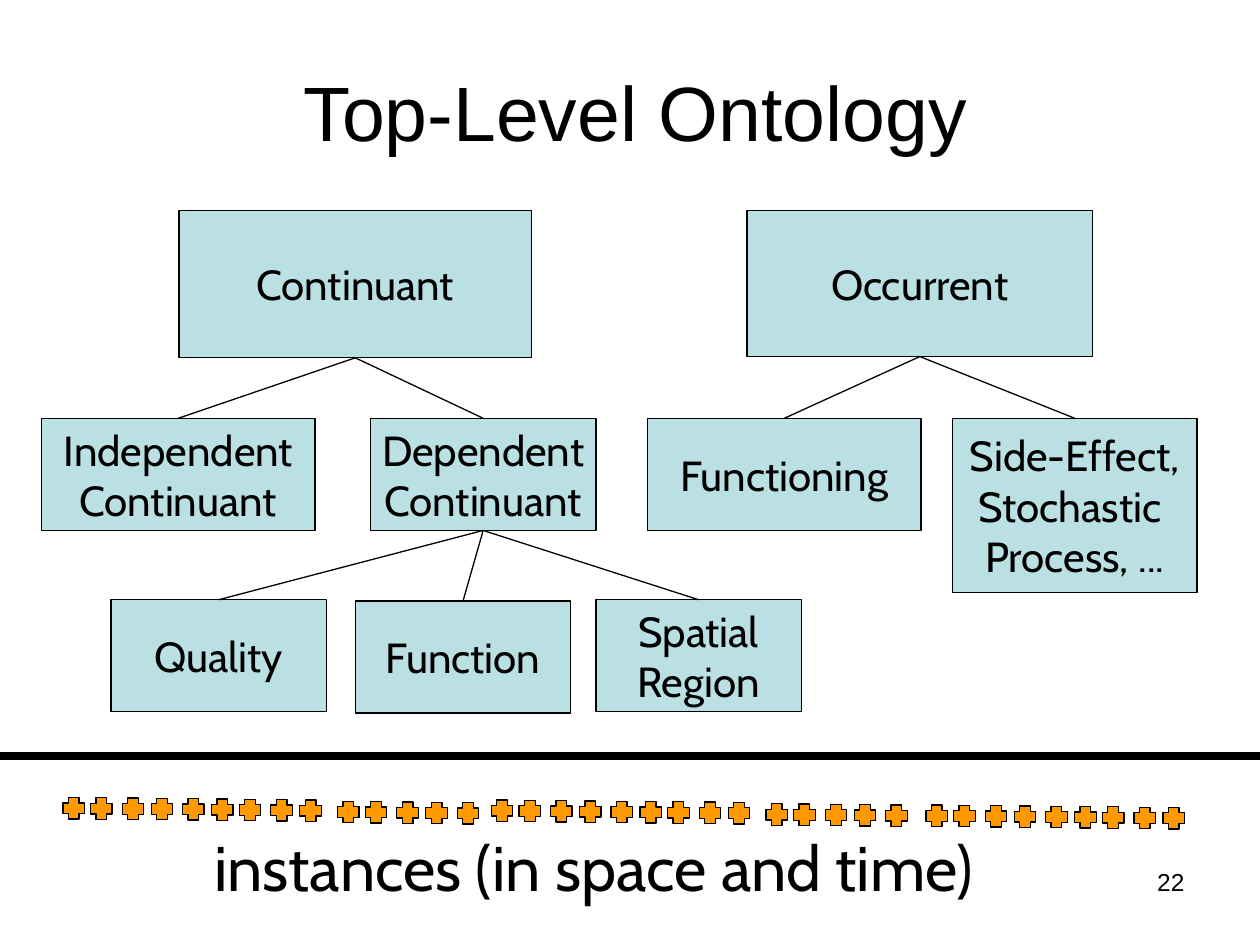
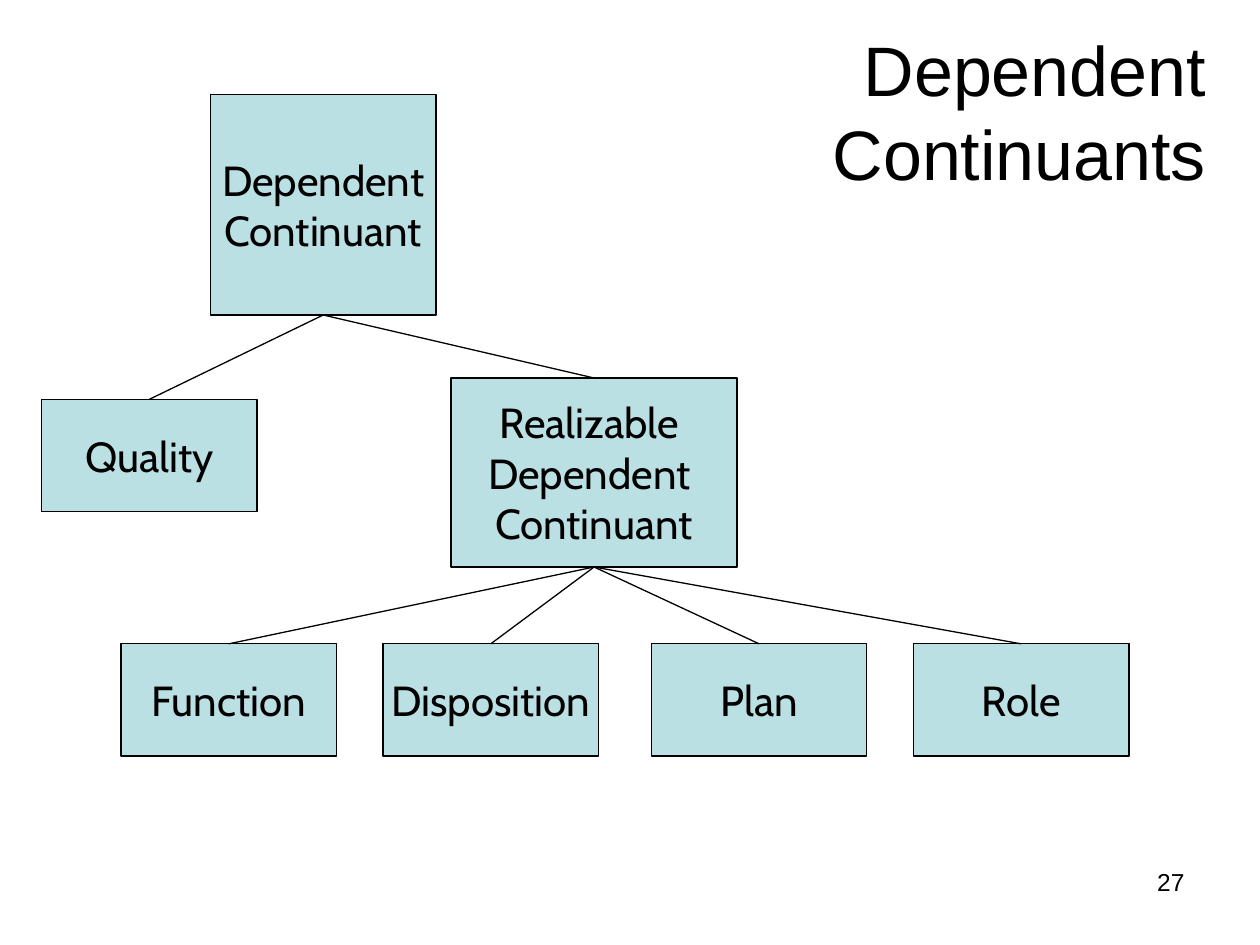
from lxml import etree
from pptx import Presentation
from pptx.dml.color import RGBColor
from pptx.enum import shapes, text
from pptx.oxml import ns
from pptx.util import Inches, Pt

COLORS = {"ink": "000000", "box": "BBE0E3", "instance": "FF9900"}
CENTER, RIGHT = text.PP_ALIGN.CENTER, text.PP_ALIGN.RIGHT
MIDDLE, TOP = text.MSO_ANCHOR.MIDDLE, text.MSO_ANCHOR.TOP
CLASS_FONT = {"name": "Cabin", "size": Pt(24)}
CAPTION_FONT = {"name": "Cabin", "size": Pt(36)}
NUMBER_FONT = {"name": "Arial", "size": Pt(14)}

# Each class: label, left, top, width, height, index of its parent
SLIDES = [
    {
        "title": "Top-Level Ontology", "title_size": 44, "align": CENTER, "number": "22",
        "classes": [
            ("Continuant", 1.42, 1.67, 2.8, 1.17, None),
            ("Occurrent", 5.93, 1.67, 2.74, 1.16, None),
            ("Independent\nContinuant", 0.33, 3.32, 2.17, 0.89, 0),
            ("Dependent\nContinuant", 2.94, 3.32, 1.79, 0.89, 0),
            ("Functioning", 5.14, 3.32, 2.17, 0.89, 1),
            (" Side-Effect, \nStochastic \nProcess, ...", 7.56, 3.32, 1.94, 1.38, 1),
            ("Quality", 0.88, 4.76, 1.71, 0.89, 3),
            ("Function", 2.82, 4.77, 1.71, 0.89, 3),
            (" Spatial \nRegion", 4.73, 4.76, 1.63, 0.89, 3),
        ],
    },
    {
        "title": "Dependent\vContinuants", "title_size": 40, "align": RIGHT, "number": "27",
        "classes": [
            ("Dependent\nContinuant", 1.67, 0.75, 1.79, 1.75, None),
            ("Quality", 0.33, 3.17, 1.71, 0.89, 0),
            ("Realizable \nDependent \nContinuant", 3.58, 3, 2.27, 1.5, 0),
            ("Function", 0.96, 5.11, 1.71, 0.89, 2),
            ("Disposition", 3.04, 5.11, 1.71, 0.89, 2),
            ("Plan", 5.17, 5.11, 1.71, 0.89, 2),
            ("Role", 7.25, 5.11, 1.71, 0.89, 2),
        ],
    },
]

# Each run of instances: left, top, count
INSTANCE_RUNS = [(0.5, 6.33, 9), (2.68, 6.36, 5), (3.9, 6.35, 9), (6.08, 6.38, 5), (7.35, 6.39, 9)]
INSTANCE_OFFSETS = [0, 0.22, 0.47, 0.7, 0.95, 1.18, 1.4, 1.65, 1.88]


def write(shape, wording, font, align=CENTER, anchor=MIDDLE, wrap=False):
    frame = shape.text_frame
    frame.text = wording
    frame_format = {
        "auto_size": text.MSO_AUTO_SIZE.NONE, "word_wrap": wrap, "vertical_anchor": anchor,
        "margin_left": Inches(0.1), "margin_right": Inches(0.1),
        "margin_top": Inches(0.05), "margin_bottom": Inches(0.05),
    }
    for attribute, value in frame_format.items():
        setattr(frame, attribute, value)
    for paragraph in frame.paragraphs:
        paragraph.alignment = align
        for run in paragraph.runs:
            for attribute, value in font.items():
                setattr(run.font, attribute, value)
            run.font.color.rgb = RGBColor.from_string(COLORS["ink"])


def outline(shape, fill=None, weight=0.75):
    """Give a shape or connector an ink line and no shadow."""
    shape.line.color.rgb = RGBColor.from_string(COLORS["ink"])
    shape.line.width = Pt(weight)
    if fill:
        shape.fill.solid()
        shape.fill.fore_color.rgb = RGBColor.from_string(COLORS[fill])
        shape.shadow.inherit = False
    else:
        etree.SubElement(shape._element.spPr, ns.qn("a:effectLst"))


deck = Presentation()
deck.slide_width, deck.slide_height = Inches(10), Inches(7.5)
title_only = deck.slide_layouts[5]

for content in SLIDES:
    slide = deck.slides.add_slide(title_only)
    title = slide.shapes.title
    title.left, title.top, title.width, title.height = map(Inches, (0.42, 0.25, 9.25, 1.25))
    title_font = {"name": "Arial", "size": Pt(content["title_size"])}
    write(title, content["title"], title_font, content["align"], wrap=True)

    class_boxes = []
    for label, left, top, width, height, parent in content["classes"]:
        class_box = slide.shapes.add_shape(
            shapes.MSO_SHAPE.RECTANGLE, Inches(left), Inches(top), Inches(width), Inches(height))
        outline(class_box, "box")
        write(class_box, label, CLASS_FONT)
        class_boxes.append(class_box)
        if parent is not None:
            branch = slide.shapes.add_connector(shapes.MSO_CONNECTOR.STRAIGHT, 0, 0, 0, 0)
            branch.begin_connect(class_boxes[parent], 2)
            branch.end_connect(class_box, 0)
            outline(branch)

    page_number = slide.shapes.add_textbox(Inches(7.17), Inches(6.83), Inches(2.33), Inches(0.52))
    write(page_number, content["number"], NUMBER_FONT, RIGHT, TOP, wrap=True)

# The instance level lies below the classes of the first slide
top_level = deck.slides[0]
divider = top_level.shapes.add_connector(
    shapes.MSO_CONNECTOR.STRAIGHT, 0, Inches(6), Inches(10), Inches(6))
outline(divider, weight=4.5)

for run_left, run_top, count in INSTANCE_RUNS:
    for offset in INSTANCE_OFFSETS[:count]:
        instance = top_level.shapes.add_shape(
            shapes.MSO_SHAPE.CROSS, Inches(run_left + offset), Inches(run_top + 0.01 * offset),
            Inches(0.17), Inches(0.17))
        outline(instance, "instance")

caption = top_level.shapes.add_textbox(Inches(1.25), Inches(6.5), Inches(6.92), Inches(0.75))
write(caption, "instances (in space and time)", CAPTION_FONT)

deck.save("out.pptx")
